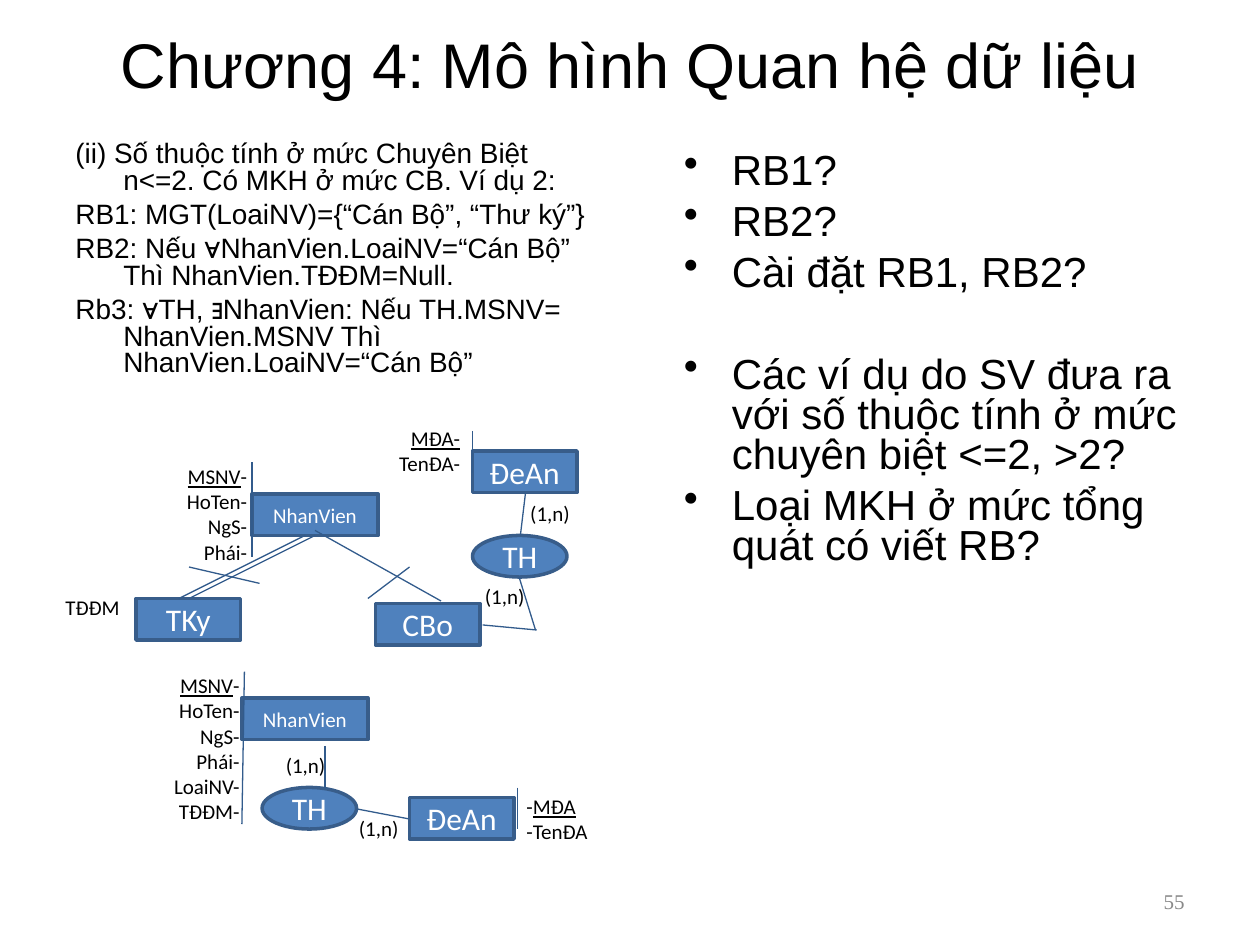
from dataclasses import dataclass

from lxml import etree
from pptx import Presentation
from pptx import util as u
from pptx.dml.color import RGBColor
from pptx.enum import shapes, text
from pptx.oxml.ns import qn

RECTANGLE = shapes.MSO_SHAPE.RECTANGLE
OVAL = shapes.MSO_SHAPE.OVAL
LEFT, CENTER, RIGHT = text.PP_ALIGN.LEFT, text.PP_ALIGN.CENTER, text.PP_ALIGN.RIGHT


@dataclass(frozen=True)
class Theme:
    ink: str = "000000"
    paper: str = "FFFFFF"
    node: str = "4F81BD"
    border: str = "385D8A"
    link: str = "325B8C"
    muted: str = "898989"
    body_font: str = "Arial"
    diagram_font: str = "Calibri"
    number_font: str = "Times New Roman"
    title: int = 36
    question: int = 24
    node_text: int = 18
    rule: int = 16
    small: int = 12


THEME = Theme()


@dataclass(frozen=True)
class Box:
    left: float
    top: float
    width: float
    height: float

    def inside(self, left, top, width, height):
        return Box(self.left + left, self.top + top, width, height)

    def inches(self):
        return [u.Inches(n) for n in (self.left, self.top, self.width, self.height)]


def style(para, font, size, color, align=LEFT):
    para.alignment = align
    para.font.name = font
    para.font.size = u.Pt(size)
    para.font.color.rgb = RGBColor.from_string(color)


def add_text(page, box, lines, font, size, color=THEME.ink, align=LEFT,
             anchor=text.MSO_ANCHOR.TOP):
    frame = page.shapes.add_textbox(*box.inches()).text_frame
    frame.word_wrap = True
    frame.vertical_anchor = anchor
    for index, line in enumerate(lines):
        para = frame.paragraphs[0] if index == 0 else frame.add_paragraph()
        for position, piece in enumerate(line.split("_")):
            if piece:
                span = para.add_run()
                span.text = piece
                if position % 2:
                    span.font.underline = True
        style(para, font, size, color, align)
    return frame


def hang(para, space_before, bullet=None):
    properties = para._p.get_or_add_pPr()
    properties.set("marL", str(u.Inches(0.38)))
    properties.set("indent", str(u.Inches(-0.38)))
    if bullet:
        mark = etree.Element(qn("a:buChar"), char=bullet)
        properties.insert_element_before(mark, "a:tabLst", "a:defRPr", "a:extLst")
    para.line_spacing = 0.8
    para.space_before = u.Pt(space_before)


def add_title(page, box):
    add_text(page, box, ["Chương 4: Mô hình Quan hệ dữ liệu"], THEME.body_font,
             THEME.title, align=CENTER, anchor=text.MSO_ANCHOR.MIDDLE)


def add_rules(page, box):
    rules = [
        "(ii) Số thuộc tính ở mức Chuyên Biệt n<=2. Có MKH ở mức CB. Ví dụ 2:",
        "RB1: MGT(LoaiNV)={“Cán Bộ”, “Thư ký”}",
        "RB2: Nếu ∀NhanVien.LoaiNV=“Cán Bộ” Thì NhanVien.TĐĐM=Null.",
        "Rb3: ∀TH, ∃NhanVien: Nếu TH.MSNV= NhanVien.MSNV Thì NhanVien.LoaiNV=“Cán Bộ”",
    ]
    frame = add_text(page, box, rules, THEME.body_font, THEME.rule)
    for index, para in enumerate(frame.paragraphs):
        hang(para, 4 if index else 0)


def add_questions(page, box):
    questions = [
        ("RB1?", 0),
        ("RB2?", 6),
        ("Cài đặt RB1, RB2?", 6),
        ("Các ví dụ do SV đưa ra với số thuộc tính ở mức chuyên biệt <=2, >2?", 35),
        ("Loại MKH ở mức tổng quát có viết RB?", 6),
    ]
    frame = add_text(page, box, [line for line, _ in questions],
                     THEME.body_font, THEME.question)
    for para, (_, gap) in zip(frame.paragraphs, questions):
        hang(para, gap, "•")


def add_node(page, box, kind, name, size=THEME.node_text):
    node = page.shapes.add_shape(kind, *box.inches())
    node.shadow.inherit = False
    node.fill.solid()
    node.fill.fore_color.rgb = RGBColor.from_string(THEME.node)
    node.line.color.rgb = RGBColor.from_string(THEME.border)
    node.line.width = u.Pt(2)
    frame = node.text_frame
    frame.vertical_anchor = text.MSO_ANCHOR.MIDDLE
    frame.text = name
    style(frame.paragraphs[0], THEME.diagram_font, size, THEME.paper, CENTER)


def add_entity(page, box, left, top, name):
    add_node(page, box.inside(left, top, 0.83, 0.33), RECTANGLE, name)


def add_employee(page, box, left, top):
    add_node(page, box.inside(left, top, 1, 0.33), RECTANGLE, "NhanVien", THEME.small)


def add_relationship(page, box, left, top):
    add_node(page, box.inside(left, top, 0.75, 0.33), OVAL, "TH")


def add_links(page, box, links):
    for x1, y1, x2, y2 in links:
        link = page.shapes.add_connector(
            shapes.MSO_CONNECTOR.STRAIGHT,
            u.Inches(box.left + x1), u.Inches(box.top + y1),
            u.Inches(box.left + x2), u.Inches(box.top + y2))
        link.line.color.rgb = RGBColor.from_string(THEME.link)
        link.line.width = u.Pt(0.75)
        etree.SubElement(link._element.spPr, qn("a:effectLst"))


def add_label(page, box, lines, align=LEFT):
    add_text(page, box, lines, THEME.diagram_font, THEME.small, align=align)


def add_cardinalities(page, box, places):
    for left, top in places:
        add_label(page, box.inside(left, top, 0.67, 0.3), ["(1,n)"])


def add_specialization(page, box):
    add_employee(page, box, 1.58, 0.59)
    add_entity(page, box, 2.56, 1.46, "CBo")
    add_entity(page, box, 0.66, 1.42, "TKy")
    add_entity(page, box, 3.33, 0.25, "ĐeAn")
    add_relationship(page, box, 3.33, 0.92)
    add_links(page, box, [
        (1.08, 1.42, 2.08, 0.92), (1, 1.42, 2, 0.92), (2.08, 0.88, 3.08, 1.44),
        (2.5, 1.42, 2.83, 1.17), (1.64, 1.3, 1.08, 1.17), (1.58, 0.34, 1.58, 1.09),
        (3.41, 1.63, 3.84, 1.67), (3.7, 1.25, 3.83, 1.67),
        (3.75, 0.59, 3.71, 0.92), (3.33, 0.09, 3.33, 0.42),
    ])
    add_label(page, box.inside(0.89, 0.3, 0.75, 0.9),
              ["_MSNV_-", "HoTen-", "NgS-", "Phái-"], RIGHT)
    add_label(page, box.inside(2.58, 0, 0.75, 0.5), ["_MĐA-_", "TenĐA-"], RIGHT)
    add_label(page, box.inside(0, 1.34, 0.67, 0.3), ["TĐĐM"])
    add_cardinalities(page, box, [(3.33, 1.25), (3.69, 0.59)])


def add_generalization(page, box):
    add_employee(page, box, 0.67, 0.25)
    add_relationship(page, box, 0.83, 0.96)
    add_entity(page, box, 2, 1.04, "ĐeAn")
    add_links(page, box, [
        (0.69, 0.04, 0.67, 1.25), (2.86, 0.96, 2.86, 1.29),
        (1.58, 1.13, 2, 1.21), (1.33, 0.63, 1.33, 0.96),
    ])
    add_label(page, box.inside(0, 0, 0.75, 1.3),
              ["_MSNV_-", "HoTen-", "NgS-", "Phái-", "LoaiNV-", "TĐĐM-"], RIGHT)
    add_label(page, box.inside(2.83, 0.96, 0.75, 0.5), ["-_MĐA_", "-TenĐA"])
    add_cardinalities(page, box, [(1.5, 1.13), (0.92, 0.63)])


def add_page_number(page, box):
    add_text(page, box, ["55"], THEME.number_font, THEME.small, THEME.muted,
             RIGHT, text.MSO_ANCHOR.MIDDLE)


def main():
    deck = Presentation()
    deck.slide_width, deck.slide_height = u.Inches(10), u.Inches(7.5)
    page = deck.slides.add_slide(deck.slide_layouts[6])
    add_title(page, Box(0.5, 0.17, 9, 0.67))
    add_rules(page, Box(0.5, 1.08, 4.35, 2.08))
    add_questions(page, Box(5.33, 1.17, 4.42, 3.67))
    add_specialization(page, Box(0.42, 3.33, 4.25, 1.79))
    add_generalization(page, Box(1.25, 5.29, 3.58, 1.46))
    add_page_number(page, Box(7.17, 6.95, 2.33, 0.4))
    deck.save("out.pptx")


if __name__ == "__main__":
    main()
